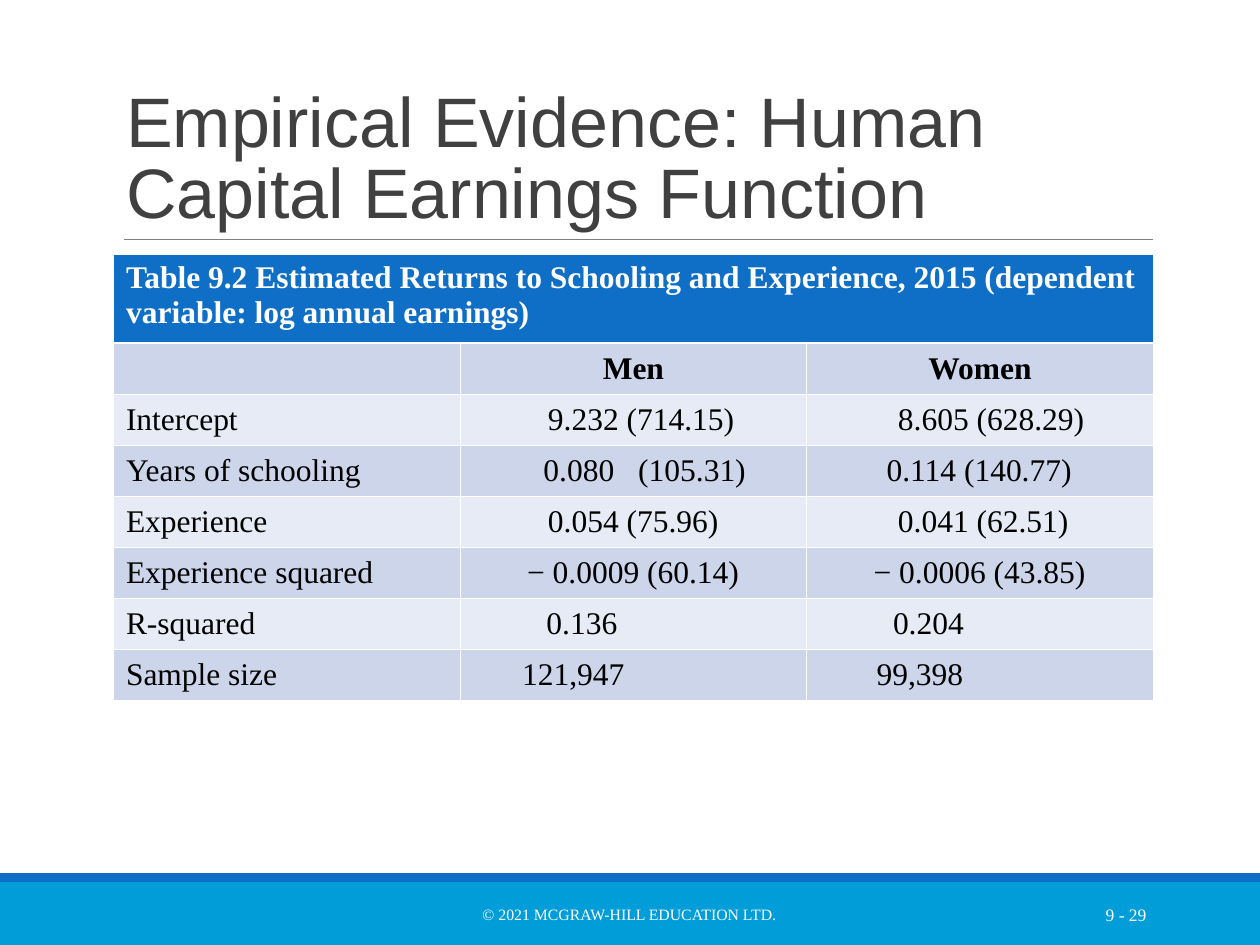
from pptx import Presentation
from pptx.dml.color import RGBColor
from pptx.enum.shapes import MSO_CONNECTOR, MSO_SHAPE
from pptx.enum.text import MSO_ANCHOR, MSO_AUTO_SIZE, PP_ALIGN
from pptx.oxml.ns import qn
from pptx.util import Cm, Pt
from lxml.etree import SubElement

TITLE = "Empirical Evidence: Human Capital Earnings Function"
CAPTION = ("Table 9.2 Estimated Returns to Schooling and Experience, 2015 "
           "(dependent variable: log annual earnings)")
HEADS = ["", "Men", "Women"]
# Label, then value and left inset in cm for each of men and women
ROWS = [
    ("Intercept", ("9.232 (714.15)", 1.77), ("8.605 (628.29)", 1.84)),
    ("Years of schooling", ("0.080\t(105.31)", 1.68), ("0.114 (140.77)", 1.61)),
    ("Experience", ("0.054 (75.96)", 1.77), ("0.041 (62.51)", 1.84)),
    ("Experience squared", ("− 0.0009 (60.14)", 1.35), ("− 0.0006 (43.85)", 1.35)),
    ("R-squared", ("0.136", 1.74), ("0.204", 1.74)),
    ("Sample size", ("121,947", 1.25), ("99,398", 1.41)),
]
# Text, left, width, size, alignment
FOOTER = [
    ("© 2021 MCGRAW-HILL EDUCATION LTD.", 7.67, 10.03, 9, PP_ALIGN.CENTER),
    ("9 - 29", 20.62, 2.74, 10, PP_ALIGN.RIGHT),
]
# Colour, top, height
BANDS = [("sky", 17.78, 1.27), ("blue", 17.6, 0.18)]
COLORS = {"sky": "009DD9", "blue": "0F6FC6", "rule": "7F7F7F", "title": "404040",
          "dark": "CCD5EA", "light": "E7EBF5", "white": "FFFFFF", "black": "000000"}
SERIF = "Times New Roman"
WIDTH, HEIGHT = 25.4, 19.05
LEFT, SPAN = 2.29, 20.96
TOP, HEAD, ROW = 5.13, 1.78, 1.03
INSET, TAB = 0.25, 1.91
THIN, THICK = 0.45, 1.47


def color(name):
    return RGBColor.from_string(COLORS[name])


def write(frame, text, size, shade, font=SERIF, bold=False, align=PP_ALIGN.LEFT):
    para = frame.paragraphs[0]
    para.alignment = align
    run = para.add_run()
    run.text = text
    run.font.name, run.font.size, run.font.bold = font, Pt(size), bold
    run.font.color.rgb = color(shade)
    return para


def add_stop(para, place):
    stops = SubElement(para._p.get_or_add_pPr(), qn("a:tabLst"))
    SubElement(stops, qn("a:tab"), pos=str(Cm(place)), algn="l")


def edge(cell, **widths):
    """Draw white cell borders; widths are points by side: L, R, T, B."""
    props = cell._tc.get_or_add_tcPr()
    for side in "LRTB":
        line = SubElement(props, qn("a:ln" + side), w=str(Pt(widths.get(side, THIN))))
        fill = SubElement(line, qn("a:solidFill"))
        SubElement(fill, qn("a:srgbClr"), val=COLORS["white"])


def paint(cell, shade):
    cell.fill.solid()
    cell.fill.fore_color.rgb = color(shade)


def add_backdrop(slide):
    for shade, top, tall in BANDS:
        band = slide.shapes.add_shape(MSO_SHAPE.RECTANGLE, 0, Cm(top), Cm(WIDTH), Cm(tall))
        band.shadow.inherit = False
        band.fill.solid()
        band.fill.fore_color.rgb = color(shade)
        band.line.fill.background()
    rule = slide.shapes.add_connector(MSO_CONNECTOR.STRAIGHT,
                                      Cm(2.49), Cm(4.83), Cm(23.24), Cm(4.83))
    rule.line.color.rgb = color("rule")
    rule.line.width = Pt(0.5)
    SubElement(rule._element.spPr, qn("a:effectLst"))


def add_title(slide):
    title = slide.shapes.title
    title.left, title.top, title.width, title.height = Cm(LEFT), Cm(0.79), Cm(SPAN), Cm(4.04)
    frame = title.text_frame
    frame.auto_size = MSO_AUTO_SIZE.NONE
    frame.word_wrap = True
    frame.vertical_anchor = MSO_ANCHOR.BOTTOM
    write(frame, TITLE, 40, "title", "Arial").line_spacing = 0.85


def add_returns(slide):
    count = len(ROWS) + 2
    table = slide.shapes.add_table(count, 3, Cm(LEFT), Cm(TOP), Cm(SPAN),
                                   Cm(HEAD + ROW * (count - 1))).table
    for col in table.columns:
        col.width = Cm(SPAN / 3)
    for i, row in enumerate(table.rows):
        row.height = Cm(ROW if i else HEAD)
        for cell in row.cells:
            edge(cell, **({0: {"B": THICK}, 1: {"T": THICK}}.get(i, {})))
            paint(cell, ("dark" if i % 2 else "light") if i else "blue")
            cell.vertical_anchor = MSO_ANCHOR.MIDDLE if i else MSO_ANCHOR.TOP
    table.cell(0, 0).merge(table.cell(0, 2))
    write(table.cell(0, 0).text_frame, CAPTION, 18, "white", bold=True)
    for j, head in enumerate(HEADS):
        if head:
            write(table.cell(1, j).text_frame, head, 18, "black", bold=True,
                  align=PP_ALIGN.CENTER)
    for i, (label, *values) in enumerate(ROWS, 2):
        for j, (text, inset) in enumerate([(label, INSET), *values]):
            cell = table.cell(i, j)
            cell.margin_left = Cm(inset)
            para = write(cell.text_frame, text, 18, "black")
            if "\t" in text:
                add_stop(para, TAB)


def add_footer(slide):
    for text, left, wide, size, align in FOOTER:
        box = slide.shapes.add_textbox(Cm(left), Cm(17.93), Cm(wide), Cm(1.02))
        frame = box.text_frame
        frame.word_wrap = True
        frame.vertical_anchor = MSO_ANCHOR.MIDDLE
        write(frame, text, size, "white", align=align)


def main():
    deck = Presentation()
    deck.slide_width, deck.slide_height = Cm(WIDTH), Cm(HEIGHT)
    slide = deck.slides.add_slide(deck.slide_layouts[5])
    add_backdrop(slide)
    add_returns(slide)
    add_footer(slide)
    add_title(slide)
    deck.save("out.pptx")


if __name__ == "__main__":
    main()
